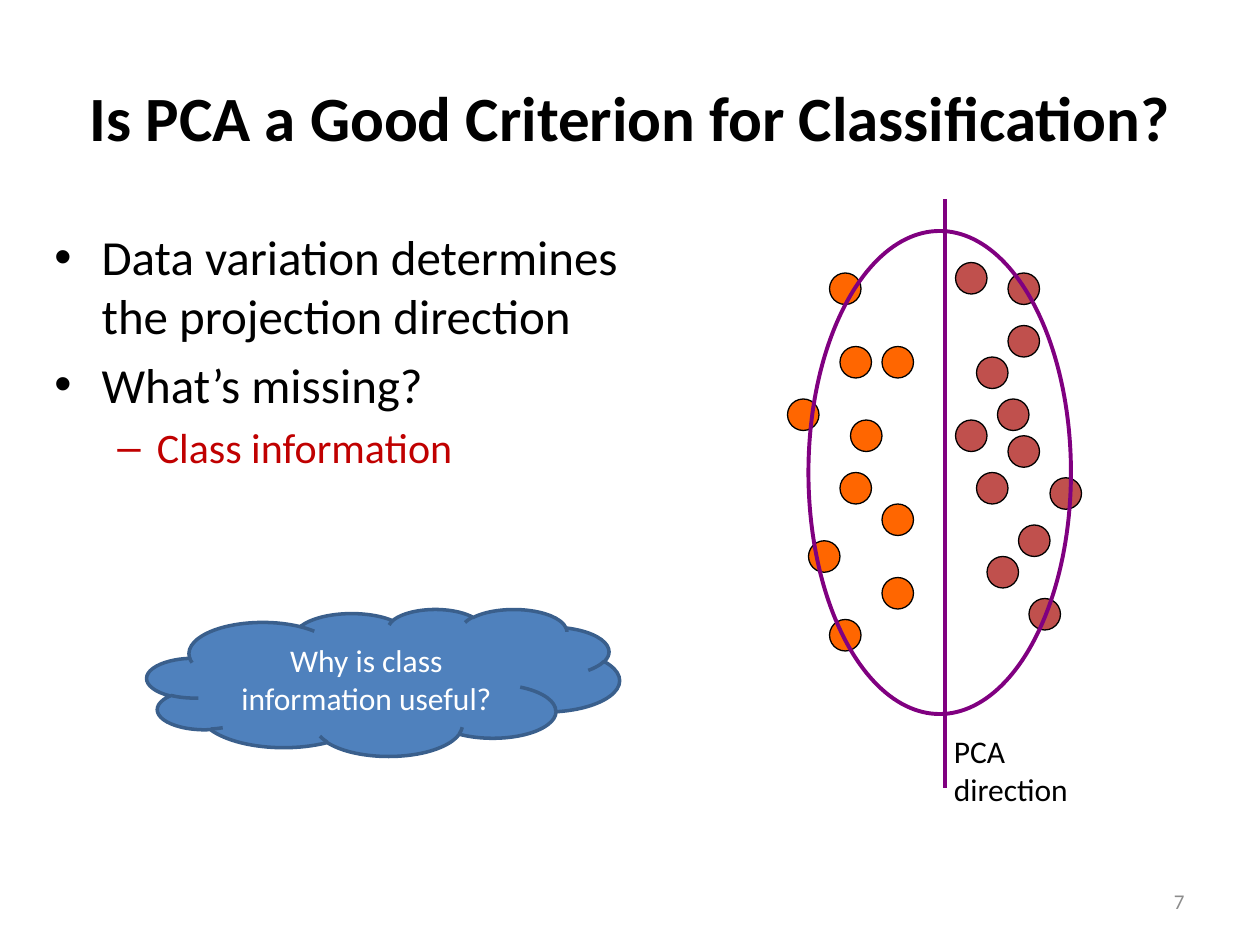
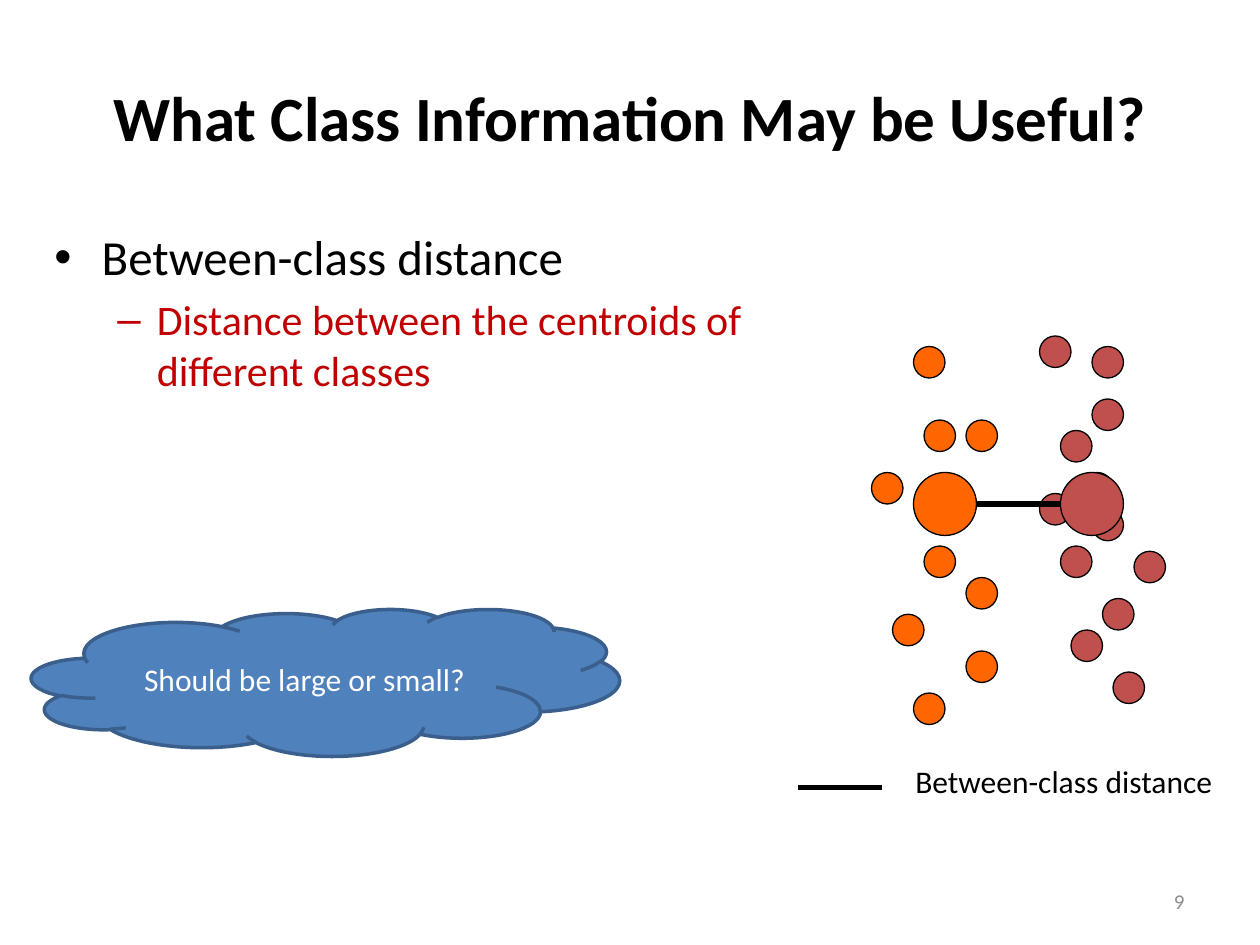
from dataclasses import dataclass

from lxml import etree
from pptx import Presentation
from pptx.dml.color import RGBColor
from pptx.enum.shapes import MSO_CONNECTOR, MSO_SHAPE
from pptx.enum.text import MSO_ANCHOR, PP_ALIGN
from pptx.oxml.ns import qn
from pptx.util import Pt

LEFT, CENTER, RIGHT = PP_ALIGN.LEFT, PP_ALIGN.CENTER, PP_ALIGN.RIGHT
TOP, MIDDLE = MSO_ANCHOR.TOP, MSO_ANCHOR.MIDDLE
ELLIPSE, CLOUD = MSO_SHAPE.OVAL, MSO_SHAPE.CLOUD
STRAIGHT = MSO_CONNECTOR.STRAIGHT


@dataclass(frozen=True)
class Theme:
    font: str = "Calibri"
    ink: str = "000000"
    accent: str = "C00000"
    muted: str = "8C8C8C"
    white: str = "FFFFFF"
    orange: str = "FF6600"
    red: str = "C0504D"
    purple: str = "800080"
    cloud: str = "4F81BD"
    cloud_line: str = "3A5F8C"
    title_size: int = 36
    bullet_size: int = 28
    sub_bullet_size: int = 24
    label_size: int = 18
    number_size: int = 12


THEME = Theme()

# Level: bullet sign, text indent, hanging indent, size, colour
BULLETS = [
    ("•", 27, 27, THEME.bullet_size, THEME.ink),
    ("–", 58.5, 22.5, THEME.sub_bullet_size, THEME.accent),
]

# Boxes are left, top, width, height in points
TITLE_BOX = (36, 21.6, 648, 90)
NUMBER_BOX = (516, 500.4, 168, 28.8)

# Sample positions, measured from the corner of the scatter
DOT = 18
ORANGE_DOTS = [(54, 138), (54, 48), (12, 159), (36, 90), (0, 78),
               (54, 180), (30, 48), (24, 204), (30, 120), (24, 6)]
RED_DOTS = [(108, 54), (126, 99), (108, 120), (126, 36), (132, 150), (150, 123),
            (126, 6), (120, 78), (96, 90), (96, 0), (138, 192), (114, 168)]


def color(value):
    return RGBColor.from_string(value)


def write(paragraph, text, size=THEME.label_size, ink=THEME.ink, bold=False, align=LEFT):
    paragraph.alignment = align
    run = paragraph.add_run()
    run.text = text
    run.font.name = THEME.font
    run.font.size = Pt(size)
    run.font.bold = bold
    run.font.color.rgb = color(ink)


def add_text_box(slide, box, anchor=TOP):
    frame = slide.shapes.add_textbox(*map(Pt, box)).text_frame
    frame.word_wrap = True
    frame.vertical_anchor = anchor
    return frame


def add_label(slide, box, lines, anchor=TOP, **style):
    frame = add_text_box(slide, box, anchor)
    for index, line in enumerate(lines):
        paragraph = frame.add_paragraph() if index else frame.paragraphs[0]
        write(paragraph, line, **style)


def add_shape(slide, kind, box, fill, line, weight):
    shape = slide.shapes.add_shape(kind, *map(Pt, box))
    shape.shadow.inherit = False
    if fill:
        shape.fill.solid()
        shape.fill.fore_color.rgb = color(fill)
    else:
        shape.fill.background()
    shape.line.color.rgb = color(line)
    shape.line.width = Pt(weight)
    return shape


def add_line(slide, start, end, ink, weight):
    line = slide.shapes.add_connector(STRAIGHT, *map(Pt, start + end))
    line.line.color.rgb = color(ink)
    line.line.width = Pt(weight)
    properties = line._element.find(qn("p:spPr"))
    etree.SubElement(properties, qn("a:effectLst"))


def add_frame(presentation, title, number):
    """Blank slide with its title and slide number."""
    slide = presentation.slides.add_slide(presentation.slide_layouts[6])
    add_label(slide, TITLE_BOX, [title], MIDDLE,
              size=THEME.title_size, bold=True, align=CENTER)
    add_label(slide, NUMBER_BOX, [str(number)], MIDDLE,
              size=THEME.number_size, ink=THEME.muted, align=RIGHT)
    return slide


def add_bullets(slide, box, items):
    """Bulleted list of (level, text) items."""
    frame = add_text_box(slide, box)
    for index, (level, text) in enumerate(items):
        sign, indent, hanging, size, ink = BULLETS[level]
        paragraph = frame.add_paragraph() if index else frame.paragraphs[0]
        write(paragraph, text, size=size, ink=ink)
        paragraph.level = level
        paragraph.space_before = Pt(size * 0.2)
        properties = paragraph._p.get_or_add_pPr()
        properties.set("marL", str(Pt(indent)))
        properties.set("indent", str(-Pt(hanging)))
        etree.SubElement(properties, qn("a:buFont"), typeface="Arial")
        etree.SubElement(properties, qn("a:buChar"), char=sign)


def add_question_cloud(slide, box, text):
    cloud = add_shape(slide, CLOUD, box, THEME.cloud, THEME.cloud_line, 2)
    cloud.text_frame.word_wrap = True
    cloud.text_frame.vertical_anchor = MIDDLE
    write(cloud.text_frame.paragraphs[0], text, ink=THEME.white, align=CENTER)


def add_dot(slide, left, top, size, fill):
    add_shape(slide, ELLIPSE, (left, top, size, size), fill, THEME.ink, 0.75)


def add_scatter(slide, left, top):
    """Both classes of samples."""
    for fill, dots in ((THEME.orange, ORANGE_DOTS), (THEME.red, RED_DOTS)):
        for x, y in dots:
            add_dot(slide, left + x, top + y, DOT, fill)


def add_pca_diagram(slide, left, top):
    """Scatter with its outline and the projection axis."""
    add_scatter(slide, left, top)
    add_shape(slide, ELLIPSE, (left + 12, top - 18, 150, 276), None, THEME.purple, 2.25)
    axis = left + 90
    add_line(slide, (axis, top - 36), (axis, top + 300), THEME.purple, 2.25)
    add_label(slide, (axis - 2, top + 264.7, 81, 51), ["PCA", "direction"])


def add_distance_diagram(slide, left, top):
    """Scatter with the class centroids, the line between them and a legend."""
    centroid = 36
    orange_left, red_left, centroid_top = left + 24, left + 108, top + 78
    add_scatter(slide, left, top)
    add_dot(slide, orange_left, centroid_top, centroid, THEME.orange)
    add_dot(slide, red_left, centroid_top, centroid, THEME.red)
    middle = centroid_top + centroid / 2
    add_line(slide, (orange_left + centroid, middle), (red_left, middle), THEME.ink, 3)
    # Legend
    legend = top + 258
    add_line(slide, (left - 42, legend), (left + 6, legend), THEME.ink, 3)
    add_label(slide, (left + 18, legend - 18, 204, 29), ["Between-class distance"])


def build_criterion_slide(presentation):
    slide = add_frame(presentation, "Is PCA a Good Criterion for Classification?", 7)
    add_bullets(slide, (24, 126, 360, 356), [
        (0, "Data variation determines the projection direction"),
        (0, "What’s missing?"),
        (1, "Class information"),
    ])
    add_pca_diagram(slide, 450, 150)
    add_question_cloud(slide, (84, 348, 270, 84), "Why is class information useful?")


def build_distance_slide(presentation):
    slide = add_frame(presentation, "What Class Information May be Useful?", 9)
    add_distance_diagram(slide, 498, 192)
    add_bullets(slide, (24, 126, 450, 132), [
        (0, "Between-class distance"),
        (1, "Distance between the centroids of different classes"),
    ])
    add_question_cloud(slide, (18, 348, 336, 84), "Should be large or small?")


def main():
    presentation = Presentation()
    presentation.slide_width, presentation.slide_height = Pt(720), Pt(540)
    build_criterion_slide(presentation)
    build_distance_slide(presentation)
    presentation.save("out.pptx")


if __name__ == "__main__":
    main()
